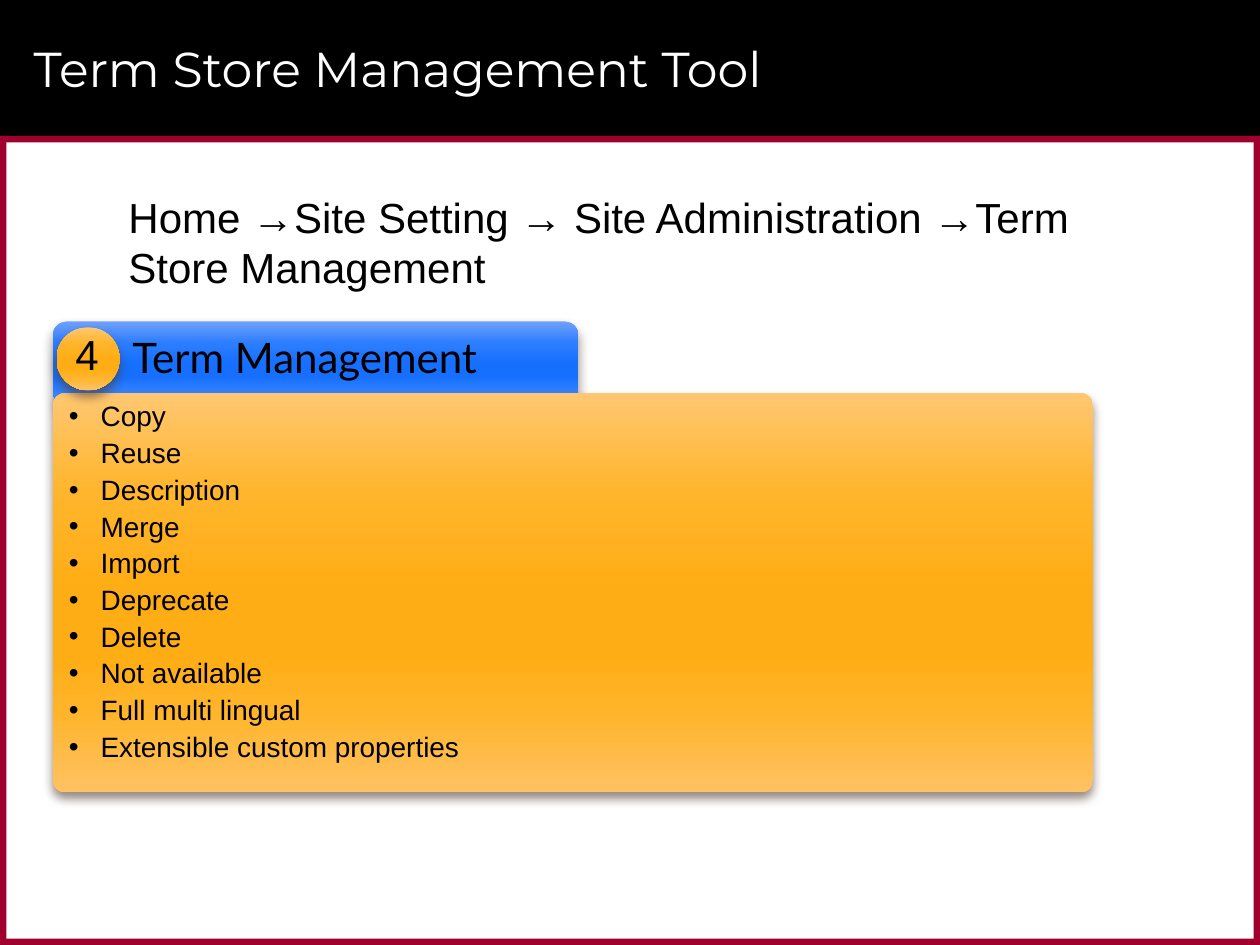
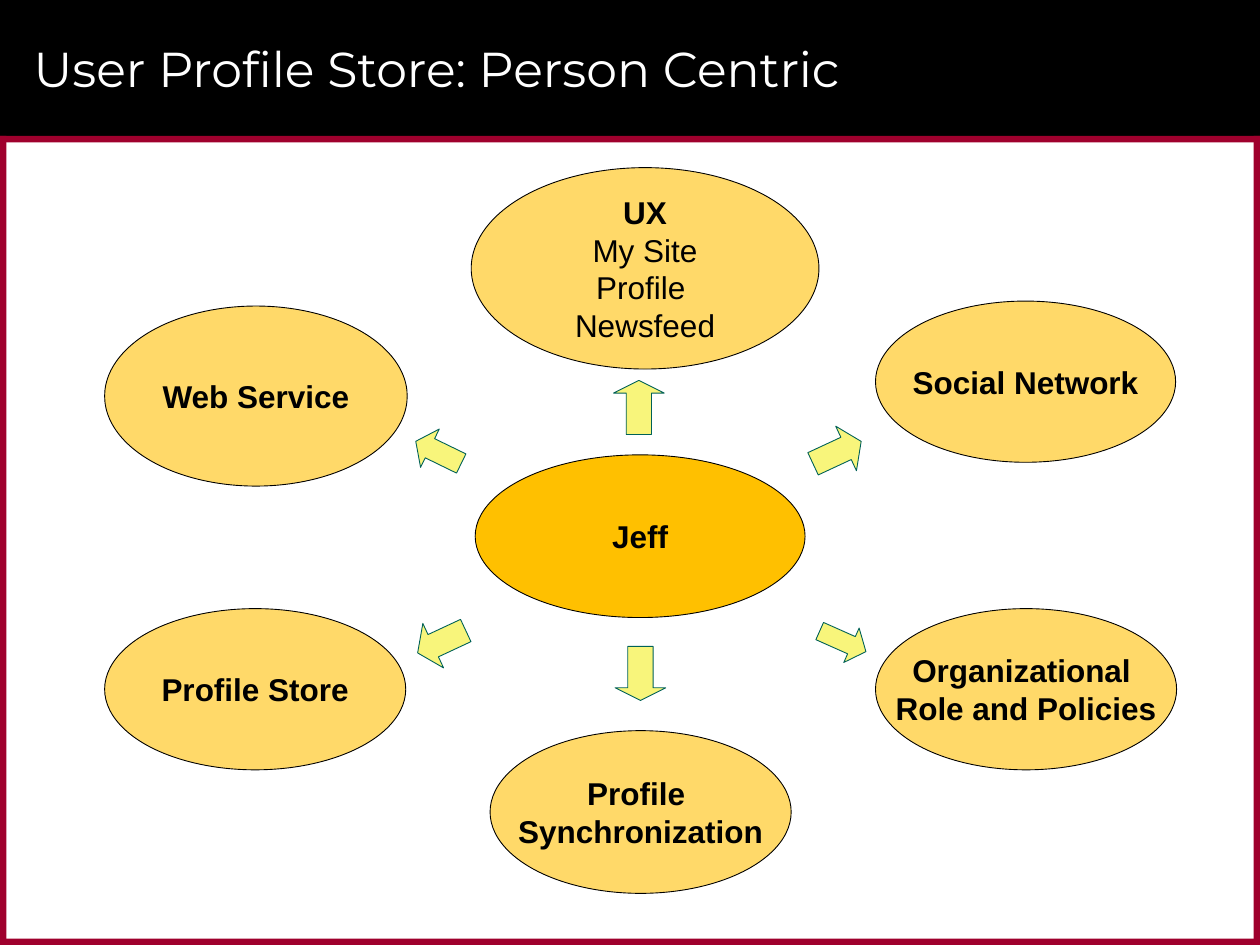
import pptx
import pptx.util
import pptx.dml.color
import pptx.enum.shapes
import pptx.enum.text
import pptx.oxml.ns
from lxml import etree

Cm, Pt = pptx.util.Cm, pptx.util.Pt
KIND = pptx.enum.shapes.MSO_SHAPE
LEFT = pptx.enum.text.PP_ALIGN.LEFT
MID = pptx.enum.text.PP_ALIGN.CENTER
TOP = pptx.enum.text.MSO_ANCHOR.TOP
CORE = pptx.enum.text.MSO_ANCHOR.MIDDLE
tag = pptx.oxml.ns.qn

WIDE, HIGH, HEAD, EDGE = 25.4, 19.05, 2.74, 0.13
INSET = (0.25, 0.13, 0.25, 0.13)
HUES = {
    "black": "000000", "white": "FFFFFF", "red": "9F002D", "shade": "4E3B30",
    "gold": "FFC000", "sand": "FFD969", "lime": "F8F57B", "teal": "006157",
}
STOPS = (0, 25, 50, 65, 80, 100)
BLENDS = {
    "blue": ("71A0FF", "2D7EFF", "166FFF", "166FFF", "2B7DFF", "6398FF"),
    "amber": ("FFC771", "FFB52C", "FFAD14", "FFAD14", "FFB42A", "FFC263"),
}


def tint(name):
    return pptx.dml.color.RGBColor.from_string(HUES[name])


def apply(item, **form):
    for key, value in form.items():
        setattr(item, key, value)


def add(node, name, **attrs):
    return etree.SubElement(node, tag(name), attrs)


class Deck:
    def __init__(self):
        self.show = pptx.Presentation()
        apply(self.show, slide_width=Cm(WIDE), slide_height=Cm(HIGH))

    def page(self, title):
        """Start a slide with its black head, red frame and title."""
        self.slide = self.show.slides.add_slide(self.show.slide_layouts[6])
        self.shape(KIND.RECTANGLE, (0, 0, WIDE, HEAD), "black")
        tall = HIGH - HEAD
        for spot in ((0, HEAD, WIDE, EDGE), (0, HIGH - EDGE, WIDE, EDGE),
                     (0, HEAD, EDGE, tall), (WIDE - EDGE, HEAD, EDGE, tall)):
            self.shape(KIND.RECTANGLE, spot, "red")
        self.label((0.43, 0.2, 23.93, 2.34), title, face="Montserrat",
                   size=28, hue="white", core=CORE)

    def shape(self, kind, spot, fill, line=None, turn=0):
        item = self.slide.shapes.add_shape(kind, *map(Cm, spot))
        item.shadow.inherit = False
        item.rotation = turn
        if fill in BLENDS:
            self.blend(item, BLENDS[fill])
        else:
            item.fill.solid()
            item.fill.fore_color.rgb = tint(fill)
        if line:
            item.line.color.rgb = tint(line)
            item.line.width = Pt(0.5)
        else:
            item.line.fill.background()
        return item

    def blend(self, item, hues):
        """Give a shape a six-stop gradient and a soft shadow below."""
        item.fill.gradient()
        item.fill.gradient_angle = 270
        props = item._element.spPr
        stops = props.find(".//" + tag("a:gsLst"))
        for old in list(stops):
            stops.remove(old)
        for stop, hue in zip(STOPS, hues):
            add(add(stops, "a:gs", pos=str(stop * 1000)), "a:srgbClr", val=hue)
        cast = add(props.find(tag("a:effectLst")), "a:outerShdw",
                   blurRad=str(Pt(6)), dist=str(Pt(4)), dir="5400000",
                   algn="ctr", rotWithShape="0")
        add(add(cast, "a:srgbClr", val=HUES["shade"]), "a:alpha", val="60000")

    def words(self, item, lines, face="Arial", size=18, hue="black", bold=(),
              align=LEFT, core=TOP, pad=INSET, wrap=True, dots=False):
        """Fill a shape with paragraphs; bold lists the bold line numbers."""
        frame = item.text_frame
        sides = ("margin_left", "margin_top", "margin_right", "margin_bottom")
        apply(frame, word_wrap=wrap, vertical_anchor=core,
              **dict(zip(sides, map(Cm, pad))))
        for num, line in enumerate(lines):
            para = frame.add_paragraph() if num else frame.paragraphs[0]
            apply(para, text=line, alignment=align)
            if dots:
                self.dot(para, num)
            for run in para.runs:
                apply(run.font, name=face, size=Pt(size), bold=num in bold)
                run.font.color.rgb = tint(hue)

    def dot(self, para, num):
        apply(para, line_spacing=0.9, space_before=Pt(3.7 if num else 0))
        props = para._p.get_or_add_pPr()
        props.set("marL", str(Cm(0.64)))
        props.set("indent", str(-Cm(0.64)))
        add(props, "a:buFont", typeface="Arial")
        add(props, "a:buChar", char="•")

    def label(self, spot, text, **form):
        item = self.slide.shapes.add_textbox(*map(Cm, spot))
        self.words(item, [text], **form)

    def node(self, spot, lines, fill="sand", bold=(0, 1), wrap=False):
        item = self.shape(KIND.OVAL, spot, fill, "black")
        self.words(item, lines, bold=bold, align=MID, core=CORE,
                   pad=(0.13,) * 4, wrap=wrap)

    def arrow(self, spot, turn, tip):
        item = self.shape(KIND.UP_ARROW, spot, "lime", "teal", turn)
        item.adjustments[1] = tip


def terms(deck):
    deck.page("Term Store Management Tool")
    deck.label((2.34, 3.73, 22.02, 2.31),
               "Home →Site Setting → Site Administration →Term \nStore Management",
               size=24)
    tab = deck.shape(KIND.ROUNDED_RECTANGLE, (1.07, 6.48, 10.59, 1.7), "blue")
    deck.words(tab, ["Term Management"], face="Lato", size=24,
               pad=(1.52, 0.13, 0.25, 0.13))
    card = deck.shape(KIND.ROUNDED_RECTANGLE, (1.07, 7.92, 20.96, 8.05), "amber")
    card.adjustments[0] = 0.03
    deck.words(card, ["Copy", "Reuse", "Description", "Merge", "Import",
                      "Deprecate", "Delete", "Not available",
                      "Full multi lingual", "Extensible custom properties"],
               size=16, dots=True)
    deck.shape(KIND.OVAL, (1.14, 6.6, 1.27, 1.27), "amber")
    deck.label((1.52, 6.63, 0.46, 1.02), "4", size=24, core=CORE,
               pad=(0,) * 4, wrap=False)


def users(deck):
    deck.page("User Profile Store: Person Centric")
    west, east, low = 2.11, 17.65, 12.27
    deck.node((9.58, 9.17, 6.65, 3.28), ["Jeff"], fill="gold", wrap=True)
    deck.node((9.5, 3.38, 7.01, 4.06),
              ["UX", "My Site", "Profile ", "Newsfeed"], bold=(0,))
    for spot, lines in (
        ((9.88, 14.73, 6.07, 3.28), ["Profile ", "Synchronization"]),
        ((east, low, 6.07, 3.25), ["Organizational ", "Role and Policies"]),
        ((west, 6.17, 6.1, 3.63), ["Web Service"]),
        ((west, low, 6.07, 3.25), ["Profile Store"]),
        ((east, 6.07, 6.05, 3.25), ["Social Network"]),
    ):
        deck.node(spot, lines)
    for spot, turn, tip in (
        ((12.37, 7.67, 1.02, 1.09), 0, 0.25),
        ((16.38, 8.59, 0.99, 1.07), 65, 0.34),
        ((16.61, 12.42, 0.76, 1.02), 114, 0.42),
        ((12.4, 13.03, 1.02, 1.09), 180, 0.25),
        ((8.41, 12.4, 0.99, 1.07), 245, 0.35),
        ((8.41, 8.61, 0.86, 1.02), 296, 0.37),
    ):
        deck.arrow(spot, turn, tip)


def main():
    deck = Deck()
    terms(deck)
    users(deck)
    deck.show.save("out.pptx")


if __name__ == "__main__":
    main()
